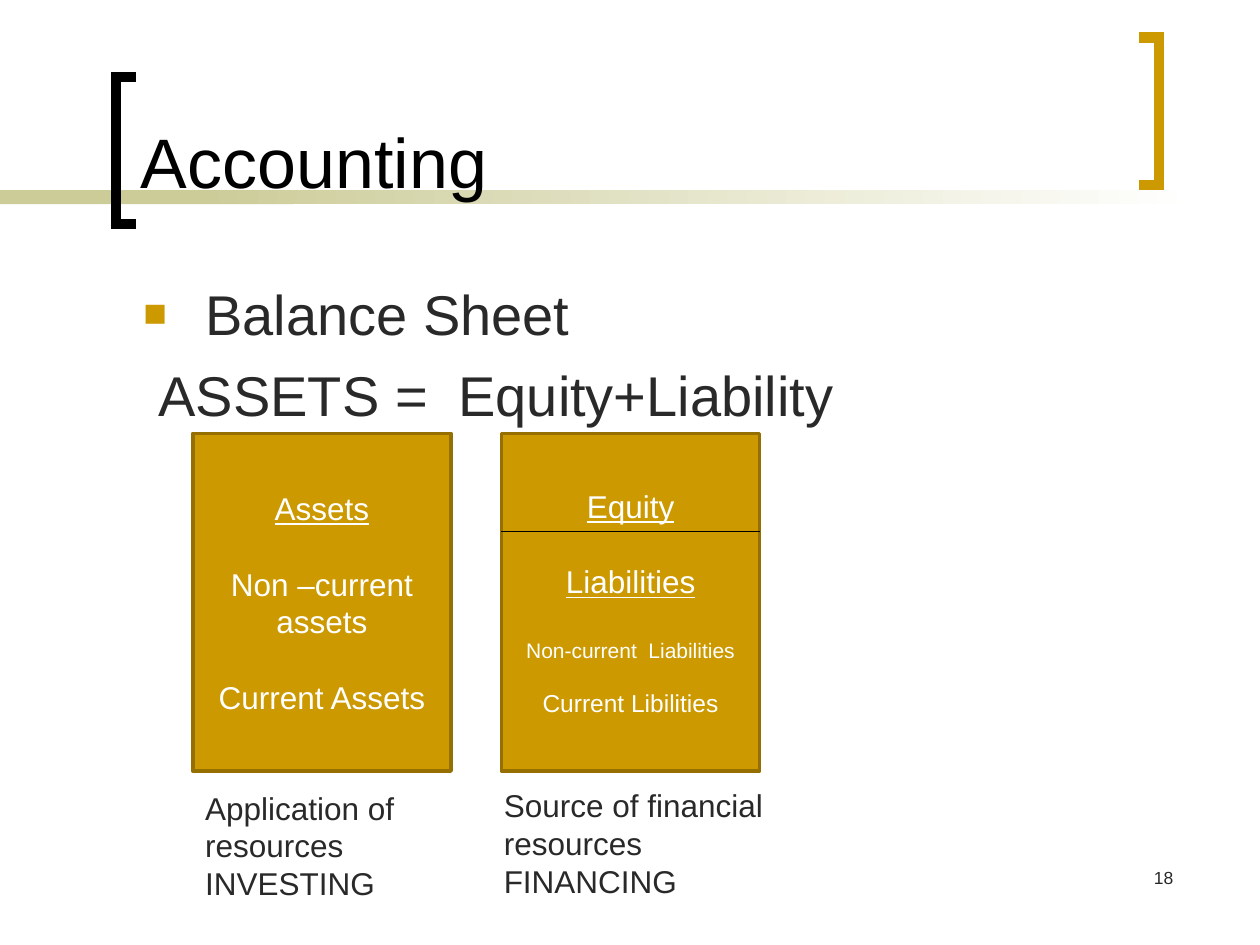
from dataclasses import dataclass

import lxml.etree
import pptx
import pptx.dml.color
import pptx.enum.shapes
import pptx.enum.text
import pptx.oxml.ns
import pptx.util

Inches = pptx.util.Inches
Pt = pptx.util.Pt
qn = pptx.oxml.ns.qn
Align = pptx.enum.text.PP_ALIGN
Anchor = pptx.enum.text.MSO_ANCHOR
RECTANGLE = pptx.enum.shapes.MSO_SHAPE.RECTANGLE

FONT = "Arial"
GOLD = "CC9900"
SAND = "CCCC99"
WHITE = "FFFFFF"
BLACK = "000000"
INK = "292929"


@dataclass
class Line:
    text: str
    size: float = 18
    underline: bool = False
    space_before: float = 0


@dataclass
class Bracket:
    spine: float
    tip: float
    top: float
    color: str


@dataclass
class TextBox:
    left: float
    top: float
    width: float
    height: float
    lines: list[Line]
    color: str = INK
    align: Align = Align.LEFT
    anchor: Anchor = Anchor.TOP


@dataclass
class Panel:
    left: float
    lines: list[Line]


PANEL_TOP, PANEL_WIDTH, PANEL_HEIGHT = 3.44, 2.05, 2.68
DIVIDER_Y = 4.22
BAND_TOP, BAND_HEIGHT = 1.51, 0.11
BRACKET_HEIGHT = 1.17

BRACKETS = [Bracket(0.92, 1.08, 0.61, BLACK), Bracket(9.2, 9.04, 0.3, GOLD)]

TITLE = TextBox(1.02, 0.11, 7.83, 1.55, [Line("Accounting", 40)], BLACK, anchor=Anchor.BOTTOM)
BODY = TextBox(1.04, 2.17, 8.38, 4.5, [
    Line("Balance Sheet", 32),
    Line("ASSETS\t=\tEquity+Liability", 32, space_before=8),
])
PAGE_NUMBER = TextBox(7.33, 6.83, 2.08, 0.5, [Line("18", 10)], align=Align.RIGHT)
CAPTIONS = [
    TextBox(1.53, 6.21, 2.28, 1, [Line("Application of resources"), Line("INVESTING")]),
    TextBox(3.9, 6.19, 2.28, 1, [Line("Source of financial resources"), Line("FINANCING")]),
]

ASSETS = Panel(1.53, [
    Line("Assets", underline=True),
    Line("Non –current assets", space_before=21.6),
    Line("Current Assets", space_before=21.6),
])
FUNDING = Panel(3.98, [
    Line("Equity", underline=True),
    Line("Liabilities", underline=True, space_before=21.6),
    Line("Non-current  Liabilities", 12, space_before=21.6),
    Line("Current Libilities", 14, space_before=14.4),
])


def rgb(color: str) -> pptx.dml.color.RGBColor:
    return pptx.dml.color.RGBColor.from_string(color)


def write_lines(text_frame, lines: list[Line], color: str, align: Align, anchor: Anchor) -> None:
    text_frame.word_wrap = True
    text_frame.vertical_anchor = anchor
    text_frame.text = "\n".join(line.text for line in lines)
    for paragraph, line in zip(text_frame.paragraphs, lines):
        paragraph.alignment = align
        paragraph.space_before = Pt(line.space_before)
        for run in paragraph.runs:
            run.font.name = FONT
            run.font.size = Pt(line.size)
            run.font.underline = line.underline
            run.font.color.rgb = rgb(color)


def add_text(slide, box: TextBox):
    shape = slide.shapes.add_textbox(
        Inches(box.left), Inches(box.top), Inches(box.width), Inches(box.height))
    write_lines(shape.text_frame, box.lines, box.color, box.align, box.anchor)
    return shape


def add_rectangle(slide, left: float, top: float, width: float, height: float):
    shape = slide.shapes.add_shape(
        RECTANGLE, Inches(left), Inches(top), Inches(width), Inches(height))
    shape.shadow.inherit = False
    shape.line.fill.background()
    return shape


def add_band(slide) -> None:
    solid = add_rectangle(slide, 0, BAND_TOP, 2.33, BAND_HEIGHT)
    solid.fill.solid()
    solid.fill.fore_color.rgb = rgb(SAND)
    fade = add_rectangle(slide, 1.58, BAND_TOP, 7.92, BAND_HEIGHT)
    fade.fill.gradient()
    fade.fill.gradient_angle = 0
    for stop, color in zip(fade.fill.gradient_stops, (SAND, WHITE)):
        stop.color.rgb = rgb(color)


def add_bracket(slide, bracket: Bracket) -> None:
    bottom = bracket.top + BRACKET_HEIGHT
    builder = slide.shapes.build_freeform(Inches(bracket.tip), Inches(bracket.top))
    corners = [(bracket.spine, bracket.top), (bracket.spine, bottom), (bracket.tip, bottom)]
    builder.add_line_segments([(Inches(x), Inches(y)) for x, y in corners], close=False)
    shape = builder.convert_to_shape()
    shape.shadow.inherit = False
    shape.fill.background()
    shape.line.color.rgb = rgb(bracket.color)
    shape.line.width = Pt(6)
    outline = shape.line.fill._xPr
    lxml.etree.SubElement(outline, qn("a:miter"), lim="800000")


def add_panel(slide, panel: Panel) -> None:
    shape = add_rectangle(slide, panel.left, PANEL_TOP, PANEL_WIDTH, PANEL_HEIGHT)
    shape.fill.solid()
    shape.fill.fore_color.rgb = rgb(GOLD)
    shape.line.color.rgb = rgb("956F00")
    shape.line.width = Pt(2)
    write_lines(shape.text_frame, panel.lines, WHITE, Align.CENTER, Anchor.MIDDLE)


def add_divider(slide, panel: Panel) -> None:
    connector = slide.shapes.add_connector(
        pptx.enum.shapes.MSO_CONNECTOR.STRAIGHT,
        Inches(panel.left), Inches(DIVIDER_Y),
        Inches(panel.left + PANEL_WIDTH), Inches(DIVIDER_Y))
    connector.line.color.rgb = rgb(BLACK)
    connector.line.width = Pt(0.75)
    lxml.etree.SubElement(connector._element.spPr, qn("a:effectLst"))


def add_body(slide) -> None:
    heading, equation = add_text(slide, BODY).text_frame.paragraphs
    properties = heading._p.get_or_add_pPr()
    properties.set("marL", str(Inches(0.49)))
    properties.set("indent", str(Inches(-0.49)))
    bullet_color = lxml.etree.SubElement(properties, qn("a:buClr"))
    lxml.etree.SubElement(bullet_color, qn("a:srgbClr"), val=GOLD)
    lxml.etree.SubElement(properties, qn("a:buSzPct"), val="70000")
    lxml.etree.SubElement(properties, qn("a:buFont"), typeface=FONT)
    lxml.etree.SubElement(properties, qn("a:buChar"), char="■")

    properties = equation._p.get_or_add_pPr()
    properties.set("marL", "0")
    properties.set("indent", str(Inches(0.12)))
    tabs = lxml.etree.SubElement(properties, qn("a:tabLst"))
    for position in (2.32, 2.93):
        lxml.etree.SubElement(tabs, qn("a:tab"), pos=str(Inches(position)), algn="l")


def main() -> None:
    presentation = pptx.Presentation()
    presentation.slide_width = Inches(10)
    presentation.slide_height = Inches(7.5)
    slide = presentation.slides.add_slide(presentation.slide_layouts[6])
    add_band(slide)
    for bracket in BRACKETS:
        add_bracket(slide, bracket)
    add_text(slide, TITLE)
    add_body(slide)
    add_text(slide, PAGE_NUMBER)
    for panel in (ASSETS, FUNDING):
        add_panel(slide, panel)
    add_divider(slide, FUNDING)
    for caption in CAPTIONS:
        add_text(slide, caption)
    presentation.save("out.pptx")


if __name__ == "__main__":
    main()
